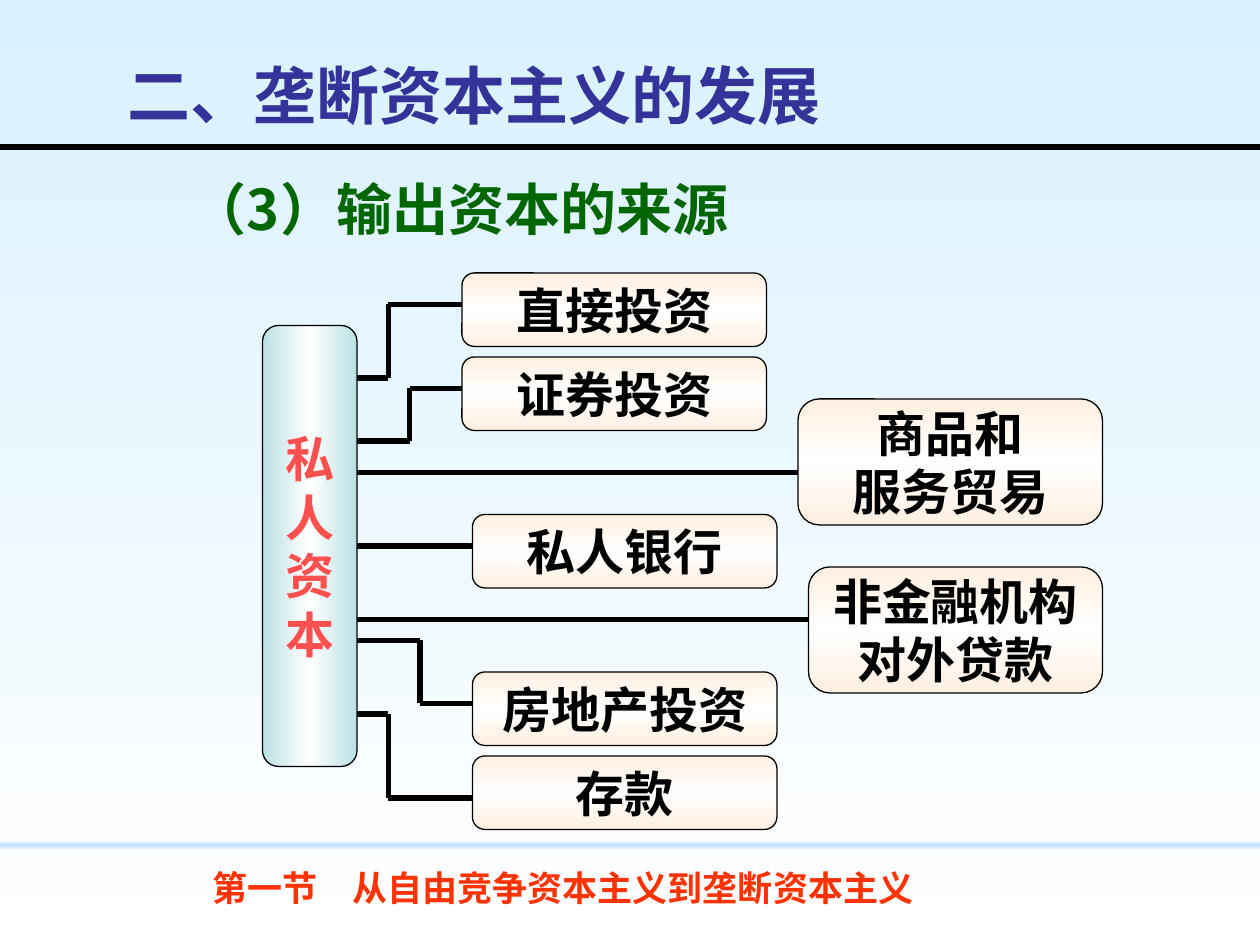
from lxml.etree import SubElement
from pptx import Presentation
from pptx.dml.color import RGBColor
from pptx.enum.shapes import MSO_CONNECTOR, MSO_SHAPE
from pptx.enum.text import MSO_ANCHOR, MSO_AUTO_SIZE, PP_ALIGN
from pptx.oxml.ns import qn
from pptx.util import Pt

PX = 9525  # EMU per px, 96 px to the inch
CJK = "Noto Sans CJK SC"
COLORS = {
    "sky": "D9F1FF", "white": "FFFFFF", "band": "C1E0FF", "chapter": "333399",
    "section": "FF3300", "heading": "006600", "teal": "BBE0E3",
    "cream": "FFF0E1", "coral": "FF5050", "black": "000000",
}


def px(*values):
    return [v * PX for v in values]


def rgb(name):
    return RGBColor.from_string(COLORS[name])


def set_gradient(fill, element, names, angle):
    """Evenly spaced stops; angle is clockwise."""
    fill.gradient()
    fill.gradient_angle = (360 - angle) % 360
    stops = element.find(".//" + qn("a:gsLst"))
    for old in list(stops):
        stops.remove(old)
    for i, name in enumerate(names):
        gs = SubElement(stops, qn("a:gs"), pos=str(i * 100000 // (len(names) - 1)))
        SubElement(gs, qn("a:srgbClr"), val=COLORS[name])


def write(shape, lines, size, color, font="Arial", align=PP_ALIGN.LEFT,
          anchor=MSO_ANCHOR.MIDDLE, wrap=True):
    tf = shape.text_frame
    frame = {"auto_size": MSO_AUTO_SIZE.NONE, "word_wrap": wrap, "vertical_anchor": anchor}
    for name, value in frame.items():
        setattr(tf, name, value)
    for i, line in enumerate(lines):
        p = tf.paragraphs[0] if i == 0 else tf.add_paragraph()
        p.alignment = align
        r = p.add_run()
        r.text = line
        for name, value in {"size": Pt(size), "bold": True, "name": font}.items():
            setattr(r.font, name, value)
        r.font.color.rgb = rgb(color)
        SubElement(r._r.get_or_add_rPr(), qn("a:ea"), typeface=CJK)


def add_line(s, x1, y1, x2, y2):
    c = s.shapes.add_connector(MSO_CONNECTOR.STRAIGHT, *px(x1, y1, x2, y2))
    c.line.color.rgb = rgb("black")
    c.line.width = Pt(3)
    SubElement(c._element.spPr, qn("a:effectLst"))


def add_panel(s, box, names, angle, lines, color):
    sp = s.shapes.add_shape(MSO_SHAPE.ROUNDED_RECTANGLE, *px(*box))
    sp.shadow.inherit = False
    sp.adjustments[0] = 0.17
    set_gradient(sp.fill, sp._element, names, angle)
    sp.line.color.rgb = rgb("black")
    sp.line.width = Pt(0.75)
    write(sp, lines, 28, color, align=PP_ALIGN.CENTER, wrap=False)


def add_header(s, box):
    x, y, w, h = box
    # Chapter name over a full-width rule
    tb = s.shapes.add_textbox(*px(x + 88, y + 32, 816, 80))
    write(tb, ["二、垄断资本主义的发展"], 36, "chapter")
    add_line(s, x, y + h, x + w, y + h)


def add_heading(s, box):
    tb = s.shapes.add_textbox(*px(*box))
    write(tb, ["（3）输出资本的来源"], 32, "heading", font=CJK, anchor=MSO_ANCHOR.TOP)


def add_footer(s, box):
    x, y, w, h = box
    # Soft divider band
    band = s.shapes.add_shape(MSO_SHAPE.RECTANGLE, *px(x, y, w, 8))
    band.shadow.inherit = False
    band.line.fill.background()
    set_gradient(band.fill, band._element, ["white", "band", "white"], 90)
    # Section title
    title = s.shapes.title
    place = px(x + 152, y + 16, 862, 40)
    for name, value in zip(("left", "top", "width", "height"), place):
        setattr(title, name, value)
    write(title, ["第一节　从自由竞争资本主义到垄断资本主义"], 20, "section")


def add_source_tree(s, box):
    x, y, w, h = box
    trunk_w, trunk_top = 72, 40
    # Trunk
    add_panel(s, (x, y + trunk_top, trunk_w, 336), ["teal", "white", "teal"], 0,
              "私人资本", "coral")
    # Branches: lines, left, top, width, line start y, line end y, bend x
    branches = [
        (["商品和", "服务贸易"], 408, 96, 232, 152, 152, None),
        (["非金融机构", "对外贷款"], 416, 224, 224, 264, 264, None),
        (["私人银行"], 160, 184, 232, 208, 208, None),
        (["房地产投资"], 160, 304, 232, 280, 328, 120),
        (["存款"], 160, 368, 232, 336, 400, 96),
        (["证券投资"], 152, 64, 232, 128, 88, 112),
        (["直接投资"], 152, 0, 232, 80, 24, 96),
    ]
    for lines, left, top, width, start, end, bend in branches:
        height = 16 + 40 * len(lines)
        add_panel(s, (x + left, y + top, width, height),
                  ["cream", "white", "cream"], 90, lines, "black")
        points = [(trunk_w, start), (left, end)]
        if bend is not None:
            points[1:1] = [(bend, start), (bend, end)]
        for (x1, y1), (x2, y2) in zip(points, points[1:]):
            add_line(s, x + x1, y + y1, x + x2, y + y2)


def main():
    prs = Presentation()
    prs.slide_width, prs.slide_height = px(960, 720)
    s = prs.slides.add_slide(prs.slide_layouts[5])
    set_gradient(s.background.fill, s._element, ["sky", "white"], 90)
    add_footer(s, (0, 640, 960, 80))
    add_heading(s, (136, 128, 544, 61))
    add_source_tree(s, (200, 208, 640, 424))
    add_header(s, (0, 0, 960, 112))
    prs.save("out.pptx")


if __name__ == "__main__":
    main()
